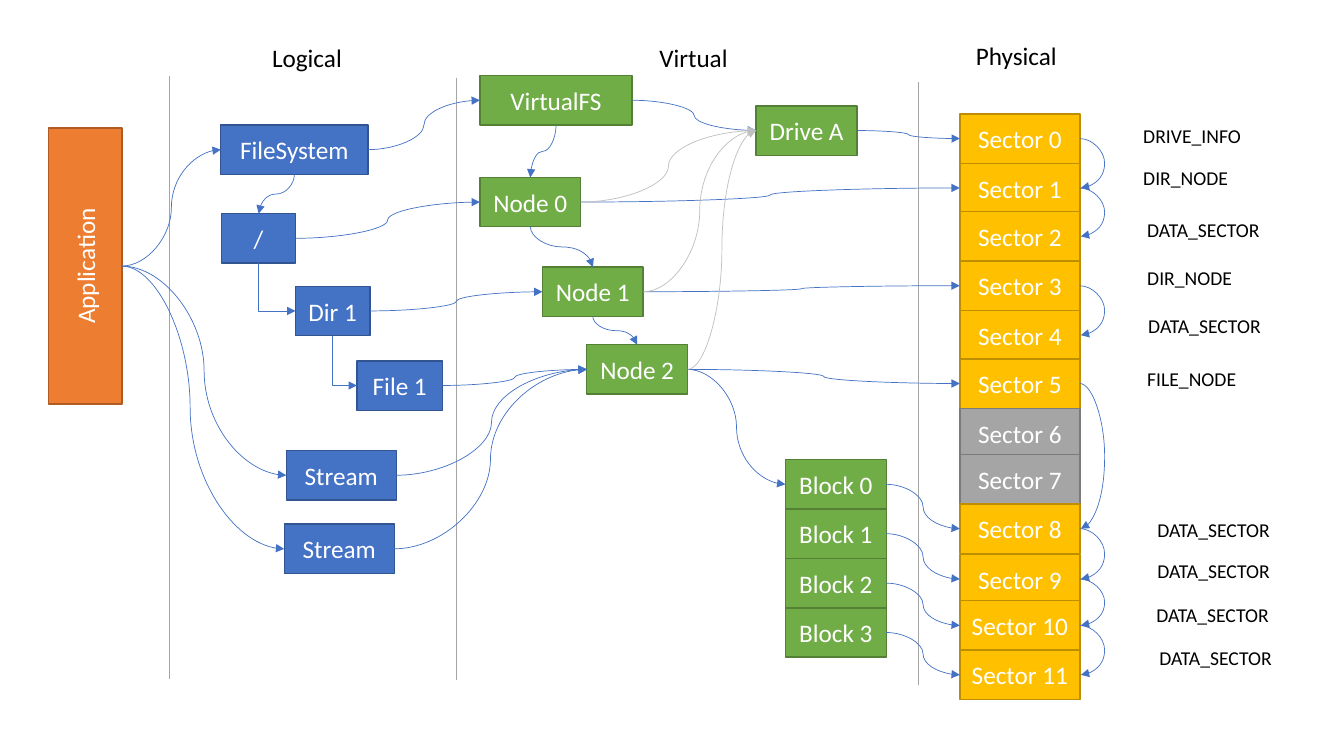
from pptx import Presentation
from pptx.dml.color import RGBColor
from pptx.enum import shapes, text
from pptx.oxml.ns import qn
from pptx.util import Inches, Pt
from lxml import etree

FONT = "Calibri"
COLORS = {
    "orange": "ED7D31", "orange edge": "AF5C24",
    "blue": "4472C4", "blue edge": "325491",
    "green": "70AD47", "green edge": "538035",
    "gold": "FFC000", "gold edge": "BD8E00",
    "gray": "A5A5A5", "gray edge": "7A7A7A",
    "pale": "BFBFBF", "white": "FFFFFF", "black": "000000",
}
BOX_HEIGHT = 0.49
TOP, LEFT, BOTTOM, RIGHT = range(4)

# key: (label, left, top, width, color)
BOXES = {
    "FileSystem": ("FileSystem", 2.19, 1.24, 1.46, "blue"),
    "/": ("/", 2.2, 2.12, 0.73, "blue"),
    "Dir 1": ("Dir 1", 2.93, 2.84, 0.74, "blue"),
    "File 1": ("File 1", 3.54, 3.58, 0.85, "blue"),
    "Upper stream": ("Stream", 2.84, 4.47, 1.09, "blue"),
    "Lower stream": ("Stream", 2.82, 5.2, 1.09, "blue"),
    "VirtualFS": ("VirtualFS", 4.76, 0.75, 1.51, "green"),
    "Node 0": ("Node 0", 4.76, 1.76, 1, "green"),
    "Node 1": ("Node 1", 5.38, 2.65, 1, "green"),
    "Node 2": ("Node 2", 5.82, 3.42, 1, "green"),
    "Drive A": ("Drive A", 7.5, 1.05, 1, "green"),
}
BLOCK_COUNT, BLOCK_LEFT, BLOCK_TOP, BLOCK_PITCH = 4, 7.79, 4.56, 0.49
SECTOR_LEFT, SECTOR_WIDTH = 9.52, 1.19
SECTOR_TOPS = [1.13, 1.62, 2.1, 2.59, 3.08, 3.56, 4.05, 4.51, 5, 5.5, 5.96, 6.45]
UNUSED_SECTORS = {6, 7}

HEADINGS = [("Logical", 2.6, 0.37, 0.9), ("Virtual", 6.44, 0.37, 0.89),
            ("Physical", 9.58, 0.35, 1.01)]
SECTOR_NOTES = [
    ("DRIVE_INFO", 11.24, 1.18, 1.18), ("DIR_NODE", 11.24, 1.6, 1.05),
    ("DATA_SECTOR", 11.28, 2.11, 1.33), ("DIR_NODE", 11.28, 2.59, 1.05),
    ("DATA_SECTOR", 11.29, 3.07, 1.33), ("FILE_NODE", 11.28, 3.59, 1.09),
    ("DATA_SECTOR", 11.38, 5.09, 1.33), ("DATA_SECTOR", 11.38, 5.5, 1.33),
    ("DATA_SECTOR", 11.37, 5.93, 1.33), ("DATA_SECTOR", 11.4, 6.36, 1.33),
]
DIVIDERS = [(1.68, 0.75, 6.74), (4.53, 0.77, 6.75), (9.11, 0.81, 6.8)]

BACK_LINKS = [("Node 0", "Drive A"), ("Node 1", "Drive A"), ("Node 2", "Drive A")]
SIDE_LINKS = [
    ("Application", "FileSystem"), ("Application", "Upper stream"),
    ("FileSystem", "VirtualFS"), ("/", "Node 0"), ("Dir 1", "Node 1"),
    ("File 1", "Node 2"), ("Upper stream", "Node 2"), ("Lower stream", "Node 2"),
    ("VirtualFS", "Drive A"), ("Drive A", "Sector 0"), ("Node 0", "Sector 1"),
    ("Node 1", "Sector 3"), ("Node 2", "Sector 5"), ("Node 2", "Block 0"),
    ("Block 0", "Sector 8"), ("Block 1", "Sector 9"),
    ("Block 2", "Sector 10"), ("Block 3", "Sector 11"),
]
DOWN_LINKS = [("FileSystem", "/"), ("VirtualFS", "Node 0"),
              ("Node 0", "Node 1"), ("Node 1", "Node 2")]
ELBOW_LINKS = [("/", "Dir 1"), ("Dir 1", "File 1")]
SECTOR_CHAINS = [(0, 1), (1, 2), (3, 4), (5, 8), (8, 9), (9, 10), (10, 11)]
LOOP_WIDTH, LOOP_BULGE = 0.01, 0.25


def color(name):
    return RGBColor.from_string(COLORS[name])


def write(shape, label, size, color_name):
    paragraph = shape.text_frame.paragraphs[0]
    paragraph.text = label
    paragraph.font.name = FONT
    paragraph.font.size = Pt(size)
    paragraph.font.color.rgb = color(color_name)
    return paragraph


def add_box(slide, label, left, top, width, fill, height=BOX_HEIGHT):
    box = slide.shapes.add_shape(shapes.MSO_SHAPE.RECTANGLE, Inches(left),
                                 Inches(top), Inches(width), Inches(height))
    box.shadow.inherit = False
    box.fill.solid()
    box.fill.fore_color.rgb = color(fill)
    box.line.color.rgb = color(fill + " edge")
    box.line.width = Pt(1)
    box.text_frame.vertical_anchor = text.MSO_ANCHOR.MIDDLE
    write(box, label, 18, "white").alignment = text.PP_ALIGN.CENTER
    return box


def add_label(slide, label, left, top, width, height, size):
    box = slide.shapes.add_textbox(Inches(left), Inches(top), Inches(width), Inches(height))
    box.text_frame.word_wrap = False
    box.text_frame.auto_size = text.MSO_AUTO_SIZE.SHAPE_TO_FIT_TEXT
    write(box, label, size, "black")


def style_line(connector, color_name):
    connector.line.color.rgb = color(color_name)
    connector.line.width = Pt(0.5)
    etree.SubElement(connector._element.spPr, qn("a:effectLst"))


def link(slide, start, start_side, end, end_side, color_name="blue",
         kind=shapes.MSO_CONNECTOR.CURVE):
    """Join two boxes with a thin arrow."""
    arrow = slide.shapes.add_connector(kind, 0, 0, 0, 0)
    arrow.begin_connect(start, start_side)
    arrow.end_connect(end, end_side)
    style_line(arrow, color_name)
    etree.SubElement(arrow.line._get_or_add_ln(), qn("a:tailEnd"), type="triangle")
    return arrow


def set_frame(arrow, rotation, flip):
    frame = arrow._element.spPr.find(qn("a:xfrm"))
    frame.set("rot", str(rotation * 60000))
    frame.set("flipH", "1" if flip else "0")


def turn_down(arrow):
    """Rotate the arrow's frame so that it leaves its first box downwards."""
    run, drop = arrow.end_x - arrow.begin_x, arrow.end_y - arrow.begin_y
    center_x, center_y = arrow.begin_x + run // 2, arrow.begin_y + drop // 2
    arrow.width, arrow.height = drop, abs(run)
    arrow.left, arrow.top = center_x - drop // 2, center_y - abs(run) // 2
    set_frame(arrow, 270 if run > 0 else 90, run > 0)


def set_bend(arrow, ratio):
    """Place the curve's middle at a ratio of the arrow's width."""
    guides = arrow._element.spPr.find(qn("a:prstGeom")).get_or_add_avLst()
    etree.SubElement(guides, qn("a:gd"), name="adj1", fmla=f"val {round(ratio * 100000)}")


def main():
    presentation = Presentation()
    presentation.slide_width, presentation.slide_height = Inches(13.33), Inches(7.5)
    slide = presentation.slides.add_slide(presentation.slide_layouts[6])

    for x, top, bottom in DIVIDERS:
        divider = slide.shapes.add_connector(shapes.MSO_CONNECTOR.STRAIGHT, Inches(x),
                                             Inches(top), Inches(x), Inches(bottom))
        style_line(divider, "gray")

    boxes = {key: add_box(slide, *box) for key, box in BOXES.items()}
    application = add_box(slide, "Application", 0.48, 1.27, 0.73, "orange", 2.74)
    application.text_frame._txBody.bodyPr.set("vert", "vert270")
    boxes["Application"] = application
    for i in range(BLOCK_COUNT):
        name = f"Block {i}"
        boxes[name] = add_box(slide, name, BLOCK_LEFT, BLOCK_TOP + i * BLOCK_PITCH, 1, "green")
    for i, top in enumerate(SECTOR_TOPS):
        name = f"Sector {i}"
        fill = "gray" if i in UNUSED_SECTORS else "gold"
        boxes[name] = add_box(slide, name, SECTOR_LEFT, top, SECTOR_WIDTH, fill)

    for start, end in SIDE_LINKS:
        link(slide, boxes[start], RIGHT, boxes[end], LEFT)
    lower = link(slide, application, RIGHT, boxes["Lower stream"], LEFT)
    set_bend(lower, 0.42)
    for start, end in BACK_LINKS:
        link(slide, boxes[start], RIGHT, boxes[end], LEFT, "pale")
    for start, end in DOWN_LINKS:
        turn_down(link(slide, boxes[start], BOTTOM, boxes[end], TOP))
    for start, end in ELBOW_LINKS:
        arrow = link(slide, boxes[start], BOTTOM, boxes[end], LEFT,
                     kind=shapes.MSO_CONNECTOR.ELBOW)
        arrow._element.spPr.find(qn("a:prstGeom")).set("prst", "bentConnector2")
        turn_down(arrow)
    for start, end in SECTOR_CHAINS:
        loop = link(slide, boxes[f"Sector {start}"], RIGHT, boxes[f"Sector {end}"], RIGHT)
        loop.width = Inches(LOOP_WIDTH)
        set_frame(loop, 0, flip=False)
        set_bend(loop, LOOP_BULGE / LOOP_WIDTH)

    for heading in HEADINGS:
        add_label(slide, *heading, height=0.4, size=18)
    for note in SECTOR_NOTES:
        add_label(slide, *note, height=0.34, size=14)

    presentation.save("out.pptx")


if __name__ == "__main__":
    main()
